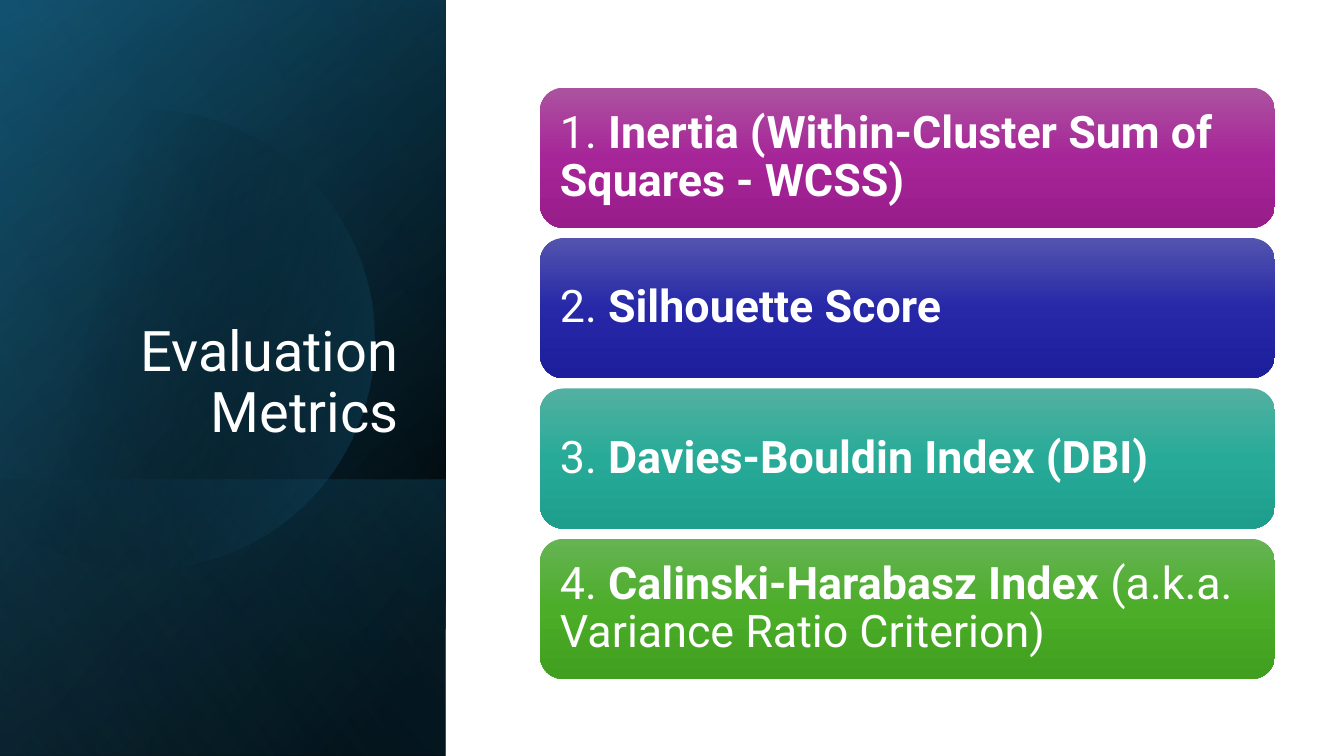
from dataclasses import dataclass
from math import acos, cos, sin

from lxml import etree
from pptx import Presentation
from pptx import util as u
from pptx.dml.color import RGBColor
from pptx.enum import shapes as s, text as t
from pptx.oxml.ns import qn

WHITE = RGBColor(0xFF, 0xFF, 0xFF)
BLACK = RGBColor(0x00, 0x00, 0x00)
NAVY = RGBColor(0x10, 0x48, 0x62)
TEAL = RGBColor(0x15, 0x60, 0x82)
SKY = RGBColor(0x46, 0xB1, 0xE1)
PLUM = [RGBColor(0xAC, 0x53, 0xA0), RGBColor(0xA6, 0x25, 0x98), RGBColor(0x99, 0x1C, 0x8B)]
BLUE = [RGBColor(0x53, 0x54, 0xAE), RGBColor(0x26, 0x28, 0xA8), RGBColor(0x1D, 0x1E, 0x9B)]
MINT = [RGBColor(0x53, 0xB0, 0xA1), RGBColor(0x27, 0xAB, 0x98), RGBColor(0x1D, 0x9D, 0x8B)]
GREEN = [RGBColor(0x66, 0xB3, 0x54), RGBColor(0x4B, 0xAD, 0x28), RGBColor(0x40, 0x9F, 0x1E)]

WIDE, HIGH = 33.87, 19.05
SIDE = 11.23  # width of the dark panel
FOOT = 12.09  # top of its lower band


@dataclass
class Stop:
    pos: int
    color: RGBColor
    alpha: int = 100


@dataclass
class Layer:
    top: float
    angle: int
    stops: list[Stop]


@dataclass
class Card:
    name: str
    tones: list[RGBColor]
    note: str = ""


BACK = [
    Layer(0, 220, [Stop(8, BLACK), Stop(100, NAVY)]),
    Layer(0, 240, [Stop(0, BLACK, 0), Stop(99, TEAL, 46)]),
    Layer(FOOT, 140, [Stop(2, TEAL, 29), Stop(100, BLACK, 30)]),
]
DISC = [Stop(29, BLACK, 0), Stop(100, TEAL, 43)]
GLOW = Layer(0, 150, [Stop(0, BLACK, 0), Stop(99, SKY, 11)])
CARDS = [
    Card("Inertia (Within-Cluster Sum of Squares - WCSS)", PLUM),
    Card("Silhouette Score", BLUE),
    Card("Davies-Bouldin Index (DBI)", MINT),
    Card("Calinski-Harabasz Index", GREEN, " (a.k.a. Variance Ratio Criterion)"),
]


def shade(shape, angle: int, stops: list[Stop]) -> None:
    """Fill a shape with a linear gradient, its angle clockwise in degrees."""
    shape.shadow.inherit = False
    shape.line.fill.background()
    shape.fill.gradient()
    shape.fill.gradient_angle = 360 - angle
    ramp = shape._element.spPr.find(qn("a:gradFill")).find(qn("a:gsLst"))
    for old in list(ramp):
        ramp.remove(old)
    for stop in stops:
        mark = etree.SubElement(ramp, qn("a:gs"), pos=str(stop.pos * 1000))
        tint = etree.SubElement(mark, qn("a:srgbClr"), val=str(stop.color))
        if stop.alpha < 100:
            etree.SubElement(tint, qn("a:alpha"), val=str(stop.alpha * 1000))


def panel(slide, layer: Layer) -> None:
    box = [u.Cm(n) for n in (0, layer.top, SIDE, HIGH - layer.top)]
    shape = slide.shapes.add_shape(s.MSO_SHAPE.RECTANGLE, *box)
    shade(shape, layer.angle, layer.stops)


def disc(slide, mid: tuple[float, float], rad: float, steps: int = 90) -> None:
    """Draw a circle cut off at the left edge of the slide."""
    x, y = mid
    end = acos(-x / rad)
    turns = [end * (2 * i / steps - 1) for i in range(steps + 1)]
    dots = [(u.Cm(x + rad * cos(a)), u.Cm(y + rad * sin(a))) for a in turns]
    pen = slide.shapes.build_freeform(*dots[0])
    pen.add_line_segments(dots[1:], close=True)
    shade(pen.convert_to_shape(), 14, DISC)


def write(shape, runs: list[tuple[str, bool]], size: int, align, frame: dict) -> None:
    for key, value in frame.items():
        setattr(shape.text_frame, key, value)
    para = shape.text_frame.paragraphs[0]
    para.alignment, para.line_spacing = align, 0.9
    for words, bold in runs:
        run = para.add_run()
        run.text = words
        look = {"name": "Roboto", "size": u.Pt(size), "bold": bold}
        for key, value in look.items():
            setattr(run.font, key, value)
        run.font.color.rgb = WHITE


def title(slide) -> None:
    box = slide.shapes.add_textbox(u.Cm(1.63), u.Cm(4.67), u.Cm(8.66), u.Cm(6.65))
    frame = {"word_wrap": True, "vertical_anchor": t.MSO_ANCHOR.BOTTOM}
    write(box, [("Evaluation Metrics", False)], 40, t.PP_ALIGN.RIGHT, frame)


def stack(slide, cards: list[Card]) -> None:
    """Set the numbered cards one below the other."""
    sides = ("left", "right", "top", "bottom")
    frame = {f"margin_{side}": u.Cm(0.33) for side in sides}
    frame |= {"word_wrap": True, "vertical_anchor": t.MSO_ANCHOR.MIDDLE}
    for i, card in enumerate(cards):
        box = [u.Cm(n) for n in (13.61, 2.21 + 3.79 * i, 18.52, 3.53)]
        shape = slide.shapes.add_shape(s.MSO_SHAPE.ROUNDED_RECTANGLE, *box)
        shade(shape, 90, [Stop(50 * k, tone) for k, tone in enumerate(card.tones)])
        runs = [(f"{i + 1}. ", False), (card.name, True)]
        if card.note:
            runs.append((card.note, False))
        write(shape, runs, 32, t.PP_ALIGN.LEFT, frame)


def main() -> None:
    deck = Presentation()
    deck.slide_width, deck.slide_height = u.Cm(WIDE), u.Cm(HIGH)
    slide = deck.slides.add_slide(deck.slide_layouts[6])
    for layer in BACK:
        panel(slide, layer)
    disc(slide, (3.66, 8.56), 5.79)
    panel(slide, GLOW)
    title(slide)
    stack(slide, CARDS)
    deck.save("out.pptx")


if __name__ == "__main__":
    main()
